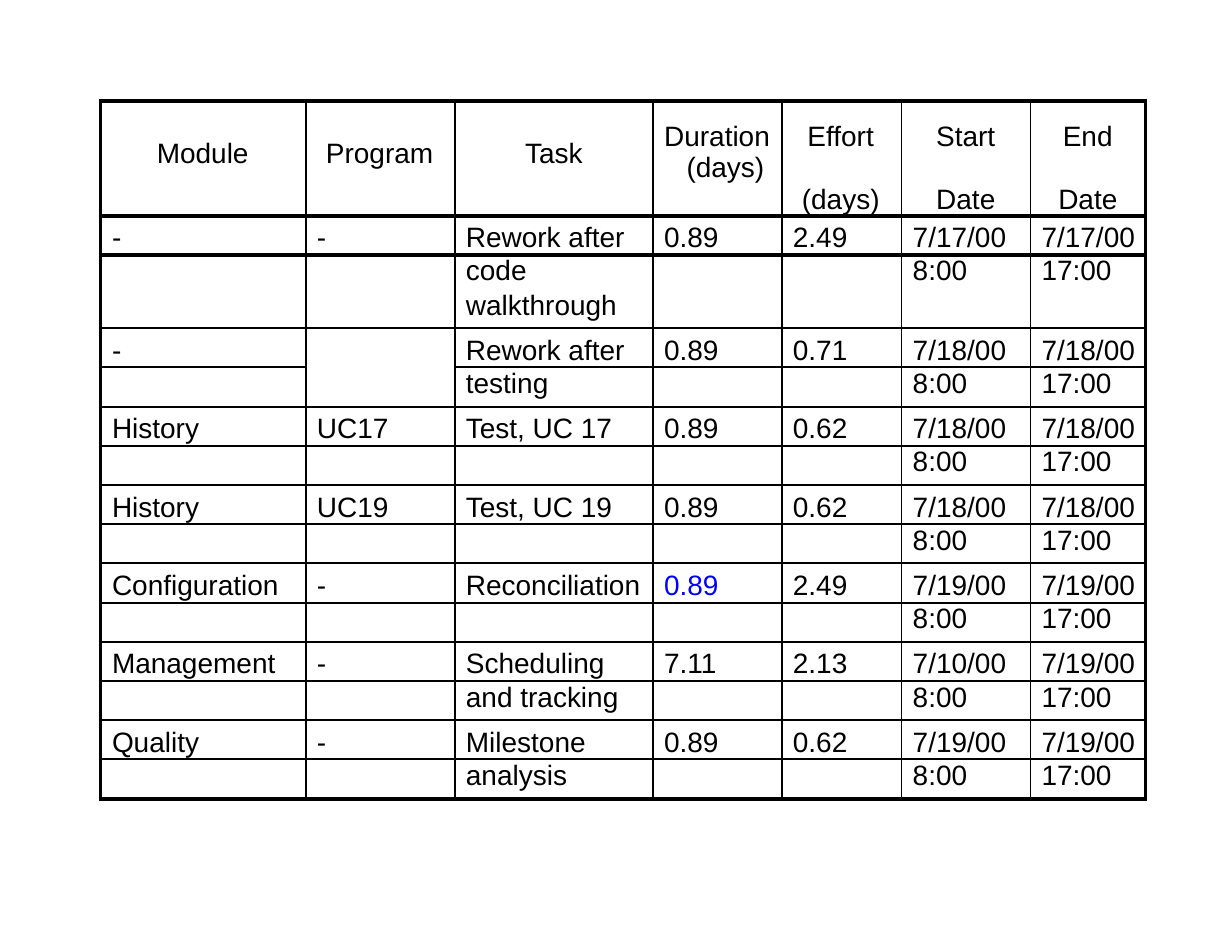
from dataclasses import dataclass

from lxml import etree
from pptx import Presentation
from pptx.dml.color import RGBColor
from pptx.enum.text import PP_ALIGN
from pptx.oxml.ns import qn
from pptx.table import Table, _Cell
from pptx.util import Inches, Pt

CENTER = PP_ALIGN.CENTER
LEFT = PP_ALIGN.LEFT
BLACK = RGBColor(0, 0, 0)
BLUE = RGBColor(0, 0, 255)
FONT_FORMAT = {"name": "Arial", "size": Pt(18), "bold": False}

COLUMN_WIDTHS = [1.83, 1.33, 1.77, 1.15, 1.07, 1.15, 1.03]
HEADER_HEIGHT, ROW_HEIGHT, MIDDLE_HEIGHT = 0.98, 0.35, 0.3
THIN, MEDIUM, EDGE, THICK = 1, 1.5, 2.25, 3
VERTICAL_RULES = [EDGE, MEDIUM, MEDIUM, THIN, MEDIUM, THIN, THIN, EDGE]
DURATION_COLUMN = 3


@dataclass
class Heading:
    lines: list[str]
    indents: list[float]
    top: float = 0.18
    gap: float = 0
    align: int = LEFT


@dataclass
class Activity:
    module: str
    program: str
    task: list[str]
    duration: str
    effort: str
    start: str
    end: str
    duration_color: RGBColor = BLACK

    def rows(self) -> list[list[str]]:
        """One table row per line; the times stand below the dates."""
        first = [self.module, self.program, self.task[0],
                 self.duration, self.effort, self.start, self.end]
        second = ["", "", self.task[1], "", "", "8:00", "17:00"]
        rest = [["", "", line, "", "", "", ""] for line in self.task[2:]]
        return [first, second, *rest]


HEADINGS = [
    Heading(["Module"], [0.5], top=0.33),
    Heading(["Program"], [0.18], top=0.33),
    Heading(["Task"], [0], top=0.33, align=CENTER),
    Heading(["Duration", "(days)"], [0.1, 0.3]),
    Heading(["Effort", "(days)"], [0.23, 0.18], gap=20.5),
    Heading(["Start", "Date"], [0.31, 0.31], gap=20.5),
    Heading(["End", "Date"], [0.29, 0.25], gap=20.5),
]
ACTIVITIES = [
    Activity("-", "-", ["Rework after", "code", "walkthrough"],
             "0.89", "2.49", "7/17/00", "7/17/00"),
    Activity("-", "", ["Rework after", "testing"],
             "0.89", "0.71", "7/18/00", "7/18/00"),
    Activity("History", "UC17", ["Test, UC 17", ""],
             "0.89", "0.62", "7/18/00", "7/18/00"),
    Activity("History", "UC19", ["Test, UC 19", ""],
             "0.89", "0.62", "7/18/00", "7/18/00"),
    Activity("Configuration", "-", ["Reconciliation", ""],
             "0.89", "2.49", "7/19/00", "7/19/00", BLUE),
    Activity("Management", "-", ["Scheduling", "and tracking"],
             "7.11", "2.13", "7/10/00", "7/19/00"),
    Activity("Quality", "-", ["Milestone", "analysis"],
             "0.89", "0.62", "7/19/00", "7/19/00"),
]


def set_border(cell: _Cell, side: str, width: float) -> None:
    """Draw one side of a cell; a width of zero means no line."""
    properties = cell._tc.get_or_add_tcPr()
    line = etree.SubElement(properties, qn(f"a:ln{side}"), w=str(Pt(width)))
    if width:
        fill = etree.SubElement(line, qn("a:solidFill"))
        etree.SubElement(fill, qn("a:srgbClr"), val=str(BLACK))
    else:
        etree.SubElement(line, qn("a:noFill"))


def write(paragraph, text: str, indent: float, color: RGBColor = BLACK) -> None:
    paragraph._p.get_or_add_pPr().set("marL", str(Inches(indent)))
    if text:
        run = paragraph.add_run()
        run.text = text
        for name, value in FONT_FORMAT.items():
            setattr(run.font, name, value)
        run.font.color.rgb = color


def set_margins(cell: _Cell, top: float) -> None:
    margins = {"left": 0, "top": top, "right": 0, "bottom": 0}
    for side, value in margins.items():
        setattr(cell, f"margin_{side}", Inches(value))


def fill_heading(cell: _Cell, heading: Heading) -> None:
    set_margins(cell, heading.top)
    frame = cell.text_frame
    for number, (line, indent) in enumerate(zip(heading.lines, heading.indents)):
        paragraph = frame.add_paragraph() if number else frame.paragraphs[0]
        paragraph.alignment = heading.align
        if number:
            paragraph.space_before = Pt(heading.gap)
        write(paragraph, line, indent)


def fill_activity(table: Table, top_row: int, activity: Activity) -> None:
    for offset, texts in enumerate(activity.rows()):
        for column, text in enumerate(texts):
            cell = table.cell(top_row + offset, column)
            is_first = offset == 0
            set_margins(cell, 0.04 if is_first else 0)
            paragraph = cell.text_frame.paragraphs[0]
            paragraph.line_spacing = Pt(21.6 if is_first else 20.6)
            is_duration = column == DURATION_COLUMN
            write(paragraph, text, 0.1,
                  activity.duration_color if is_duration else BLACK)
    if not activity.program:
        table.cell(top_row, 1).merge(table.cell(top_row + 1, 1))


def rule_table(table: Table, horizontal_rules: list[float]) -> None:
    for row in range(len(table.rows)):
        for column in range(len(table.columns)):
            cell = table.cell(row, column)
            set_border(cell, "L", VERTICAL_RULES[column])
            set_border(cell, "R", VERTICAL_RULES[column + 1])
            set_border(cell, "T", horizontal_rules[row])
            set_border(cell, "B", horizontal_rules[row + 1])
            cell.fill.background()


def main() -> None:
    presentation = Presentation()
    presentation.slide_width = Inches(11)
    presentation.slide_height = Inches(8.5)
    slide = presentation.slides.add_slide(presentation.slide_layouts[6])

    heights = [HEADER_HEIGHT]
    rules = [THICK, THICK]
    for activity in ACTIVITIES:
        count = len(activity.task)
        middle = count - 2
        heights += [ROW_HEIGHT] + [MIDDLE_HEIGHT] * middle + [ROW_HEIGHT]
        rules += [MEDIUM] + [0] * middle + [MEDIUM]
    rules[2] = rules[-1] = THICK

    schedule = slide.shapes.add_table(
        len(heights), len(COLUMN_WIDTHS), Inches(0.9), Inches(0.9),
        Inches(sum(COLUMN_WIDTHS)), Inches(sum(heights))).table
    schedule.first_row = False
    schedule.horz_banding = False
    for column, width in zip(schedule.columns, COLUMN_WIDTHS):
        column.width = Inches(width)
    for row, height in zip(schedule.rows, heights):
        row.height = Inches(height)

    for column, heading in enumerate(HEADINGS):
        fill_heading(schedule.cell(0, column), heading)
    top_row = 1
    for activity in ACTIVITIES:
        fill_activity(schedule, top_row, activity)
        top_row += len(activity.task)
    rule_table(schedule, rules)

    presentation.save("out.pptx")


if __name__ == "__main__":
    main()
